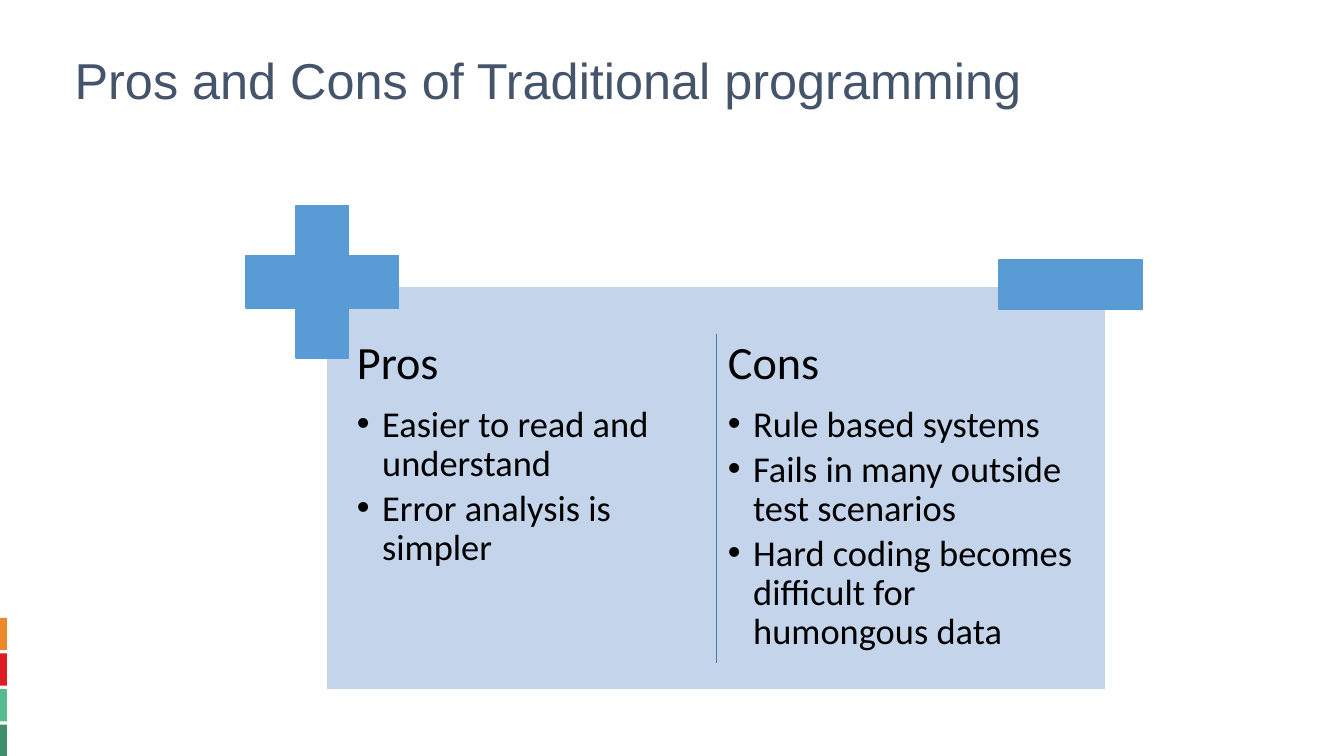
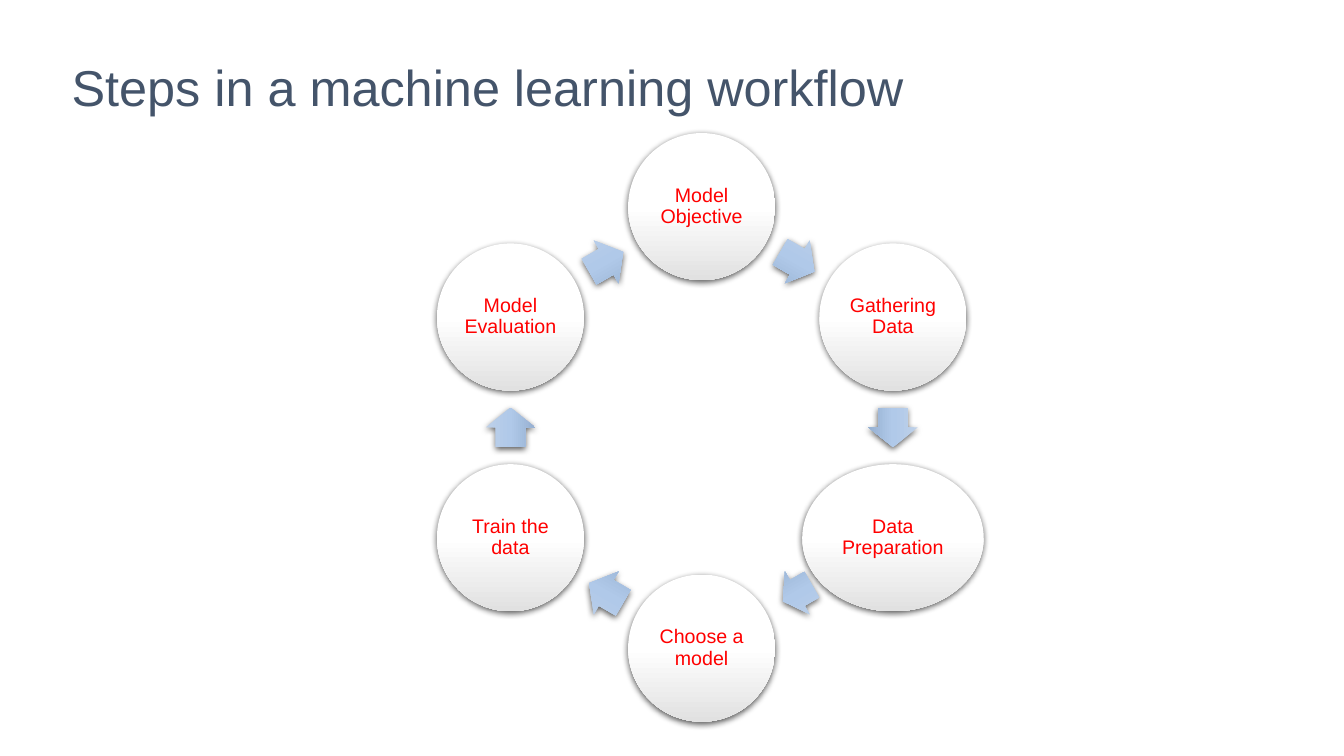
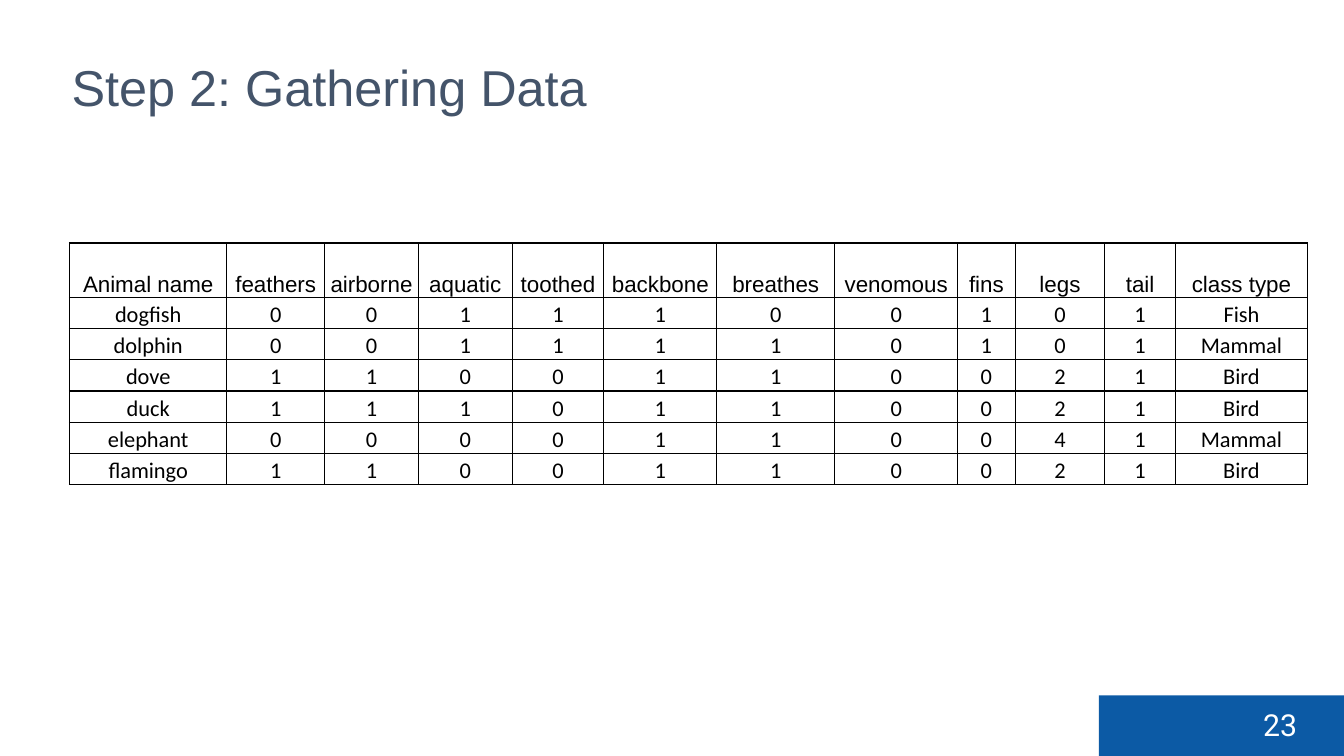
import math

from lxml import etree
from pptx import Presentation
from pptx.dml.color import RGBColor
from pptx.enum.shapes import MSO_CONNECTOR, MSO_SHAPE
from pptx.enum.text import MSO_ANCHOR, MSO_AUTO_SIZE, PP_ALIGN
from pptx.oxml.ns import qn
from pptx.util import Inches, Pt

RECT, CROSS = MSO_SHAPE.RECTANGLE, MSO_SHAPE.CROSS
OVAL, ARROW = MSO_SHAPE.OVAL, MSO_SHAPE.RIGHT_ARROW
STRAIGHT = MSO_CONNECTOR.STRAIGHT
LEFT, CENTER = PP_ALIGN.LEFT, PP_ALIGN.CENTER
TOP, MIDDLE, BOTTOM = MSO_ANCHOR.TOP, MSO_ANCHOR.MIDDLE, MSO_ANCHOR.BOTTOM
NO_AUTOFIT = MSO_AUTO_SIZE.NONE

BLACK, WHITE, RED = "000000", "FFFFFF", "FF0000"
TITLE_COLOR = "44546A"
PANEL, SIGN, DIVIDER = "C3D4EB", "599BD5", "487AA8"
FOOTER = "0C5AA5"
EDGE_COLORS = ["EB8928", "DF1C24", "54BD8F", "3F8F6E"]
STEP_GRADIENT = [(0, WHITE), (50, WHITE), (100, "E1E1E1")]
ARROW_GRADIENT = [(0, "BDD0E9"), (50, "B0C9E9"), (100, "96B0D1")]
HEAD_FONT, BODY_FONT, NUMBER_FONT = "Arial", "Calibri", "Roboto"

PROS = ["Easier to read and understand", "Error analysis is simpler"]
CONS = ["Rule based systems", "Fails in many outside test scenarios",
        "Hard coding becomes difficult for humongous data"]
STEPS = ["Model Objective", "Gathering Data", "Data Preparation",
         "Choose a model", "Train the data", "Model Evaluation"]
COL_WIDTHS = [1.56, 0.97, 0.93, 0.93, 0.91, 1.12, 1.17, 1.22, 0.57, 0.89, 0.7, 1.31]
ANIMALS = [
    ["Animal name", "feathers", "airborne", "aquatic", "toothed", "backbone",
     "breathes", "venomous", "fins", "legs", "tail", "class type"],
    ["dogfish", *"0011100101", "Fish"],
    ["dolphin", *"0011110101", "Mammal"],
    ["dove", *"1100110021", "Bird"],
    ["duck", *"1110110021", "Bird"],
    ["elephant", *"0000110041", "Mammal"],
    ["flamingo", *"1100110021", "Bird"],
]


def rgb(color):
    return RGBColor.from_string(color)


def add_run(p, text, size, font, color):
    r = p.add_run()
    r.text = text
    r.font.size, r.font.name = Pt(size), font
    r.font.color.rgb = rgb(color)


def set_margins(tf, *margins):
    """Set left, top, right and bottom margins in inches."""
    tf.margin_left, tf.margin_top, tf.margin_right, tf.margin_bottom = map(Inches, margins)


def add_shape(s, kind, x, y, w, h, fill=None, line=None):
    sp = s.shapes.add_shape(kind, Inches(x), Inches(y), Inches(w), Inches(h))
    sp.shadow.inherit = False
    if fill:
        sp.fill.solid()
        sp.fill.fore_color.rgb = rgb(fill)
    if line:
        sp.line.color.rgb = rgb(line)
        sp.line.width = Pt(1)
    else:
        sp.line.fill.background()
    return sp


def add_textbox(s, x, y, w, h):
    tf = s.shapes.add_textbox(Inches(x), Inches(y), Inches(w), Inches(h)).text_frame
    tf.word_wrap = True
    return tf


def add_color(parent, color):
    return etree.SubElement(parent, qn("a:srgbClr"), val=color)


def add_raised_shape(s, kind, x, y, w, h, stops):
    """Add a shape with a vertical gradient and a soft shadow below it."""
    sp = add_shape(s, kind, x, y, w, h)
    sp.fill.gradient()
    sp.fill.gradient_angle = 270
    sp_pr = sp._element.spPr
    gs_list = sp_pr.find(".//" + qn("a:gsLst"))
    for gs in list(gs_list):
        gs_list.remove(gs)
    for pos, color in stops:
        add_color(etree.SubElement(gs_list, qn("a:gs"), pos=str(pos * 1000)), color)
    shadow = etree.SubElement(sp_pr.find(qn("a:effectLst")), qn("a:outerShdw"),
                              blurRad=str(Pt(4.5)), dist=str(Pt(1.5)),
                              dir="5400000", rotWithShape="0")
    etree.SubElement(add_color(shadow, BLACK), qn("a:alpha"), val="63000")
    return sp


def add_titled_slide(prs, title, x=0.61, y=0.51, w=10.8, spacing=1.0):
    s = prs.slides.add_slide(prs.slide_layouts[5])
    sp = s.shapes.title
    sp.left, sp.top, sp.width, sp.height = Inches(x), Inches(y), Inches(w), Inches(0.62)
    tf = sp.text_frame
    tf.word_wrap, tf.auto_size, tf.vertical_anchor = True, NO_AUTOFIT, TOP
    p = tf.paragraphs[0]
    p.alignment, p.line_spacing = LEFT, spacing
    add_run(p, title, 36, HEAD_FONT, TITLE_COLOR)
    return s


def add_edge_bars(s, x, y):
    for i, color in enumerate(EDGE_COLORS):
        add_shape(s, RECT, x, y + i * 0.353, 0.07, 0.32, color)


def add_bullet(p):
    p_pr = p._p.get_or_add_pPr()
    p_pr.set("lvl", "1")
    p_pr.set("marL", str(Inches(0.25)))
    p_pr.set("indent", str(Inches(-0.25)))
    add_color(etree.SubElement(p_pr, qn("a:buClr")), BLACK)
    etree.SubElement(p_pr, qn("a:buFont"), typeface=HEAD_FONT)
    etree.SubElement(p_pr, qn("a:buChar"), char="•")


def add_points(s, x, y, w, h, heading, points):
    tf = add_textbox(s, x, y, w, h)
    set_margins(tf, 0.07, 0.07, 0.07, 0.07)
    p = tf.paragraphs[0]
    p.line_spacing = 0.9
    add_run(p, heading, 33, BODY_FONT, BLACK)
    for i, point in enumerate(points):
        p = tf.add_paragraph()
        add_bullet(p)
        p.line_spacing = 0.9
        p.space_before = Pt(3.9 if i else 11.6)
        add_run(p, point, 26, BODY_FONT, BLACK)


def add_pros_cons(s, x, y, w, h):
    add_shape(s, RECT, x, y, w, h, PANEL, WHITE)
    for i, (heading, points) in enumerate([("Pros", PROS), ("Cons", CONS)]):
        add_points(s, x + 0.23 + i * 3.68, y + 0.46, 3.59, 3.42, heading, points)
    plus = add_shape(s, CROSS, x - 0.8, y - 0.8, 1.51, 1.51, SIGN, SIGN)
    plus.adjustments[0] = 0.328
    add_shape(s, RECT, x + w - 1.06, y - 0.26, 1.42, 0.49, SIGN, SIGN)
    mid = Inches(x + w / 2)
    divider = s.shapes.add_connector(STRAIGHT, mid, Inches(y + 0.47), mid, Inches(y + 3.74))
    divider.line.color.rgb = rgb(DIVIDER)
    divider.line.width = Pt(1)
    etree.SubElement(divider._element.spPr, qn("a:effectLst"))


def add_cycle(s, cx, cy, radius):
    """Place the steps clockwise from the top, with an arrow between neighbours."""
    size, turn = 1.46, 360 / len(STEPS)

    def on_ring(angle, distance):
        a = math.radians(angle)
        return cx + distance * math.sin(a), cy - distance * math.cos(a)

    for i, step in enumerate(STEPS):
        w = 1.8 if step == "Data Preparation" else size
        x, y = on_ring(i * turn, radius)
        sp = add_raised_shape(s, OVAL, x - w / 2, y - size / 2, w, size, STEP_GRADIENT)
        tf = sp.text_frame
        set_margins(tf, 0.02, 0.02, 0.02, 0.02)
        tf.word_wrap, tf.vertical_anchor = True, MIDDLE
        p = tf.paragraphs[0]
        p.alignment, p.line_spacing = CENTER, 0.9
        add_run(p, step, 14, HEAD_FONT, RED)

        angle = (i + 0.5) * turn
        w, h = (0.33 if step == "Data Preparation" else 0.39), 0.49
        x, y = on_ring(angle, radius * math.cos(math.radians(turn / 2)))
        arrow = add_raised_shape(s, ARROW, x - w / 2, y - h / 2, w, h, ARROW_GRADIENT)
        arrow.adjustments[0], arrow.adjustments[1] = 0.6, 0.5
        arrow.rotation = angle


def add_borders(cell):
    tc_pr = cell._tc.get_or_add_tcPr()
    for i, side in enumerate(["a:lnL", "a:lnR", "a:lnT", "a:lnB"]):
        ln = etree.Element(qn(side), w=str(Pt(1)))
        add_color(etree.SubElement(ln, qn("a:solidFill")), BLACK)
        tc_pr.insert(i, ln)


def add_animal_table(s, x, y):
    heights = [0.54] + [0.31] * (len(ANIMALS) - 1)
    table = s.shapes.add_table(len(ANIMALS), len(COL_WIDTHS), Inches(x), Inches(y),
                               Inches(sum(COL_WIDTHS)), Inches(sum(heights))).table
    table.first_row = table.horz_banding = False
    for col, width in zip(table.columns, COL_WIDTHS):
        col.width = Inches(width)
    for i, (row, height) in enumerate(zip(table.rows, heights)):
        row.height = Inches(height)
        for cell, text in zip(row.cells, ANIMALS[i]):
            cell.fill.background()
            add_borders(cell)
            set_margins(cell, 0.01, 0.01, 0.01, 0)
            cell.vertical_anchor = BOTTOM
            p = cell.text_frame.paragraphs[0]
            p.alignment = CENTER
            add_run(p, text, 16, BODY_FONT if i else HEAD_FONT, BLACK)


def add_page_number(s, x, y, number):
    add_shape(s, RECT, x, y, 2.43, 0.6, FOOTER)
    tf = add_textbox(s, x + 1.53, y + 0.06, 0.54, 0.46)
    add_run(tf.paragraphs[0], number, 21.6, NUMBER_FONT, WHITE)


def main():
    prs = Presentation()
    prs.slide_width, prs.slide_height = Inches(13.33), Inches(7.5)

    s = add_titled_slide(prs, "Pros and Cons of Traditional programming",
                         0.64, 0.53, 10.39, 0.85)
    add_edge_bars(s, 0, 6.13)
    add_pros_cons(s, 3.24, 2.84, 7.73, 4)

    s = add_titled_slide(prs, "Steps in a machine learning workflow")
    add_cycle(s, 6.96, 4.24, 2.19)

    s = add_titled_slide(prs, "Step 2: Gathering Data")
    add_page_number(s, 10.9, 6.9, "23")
    add_animal_table(s, 0.69, 2.41)

    prs.save("out.pptx")


if __name__ == "__main__":
    main()
